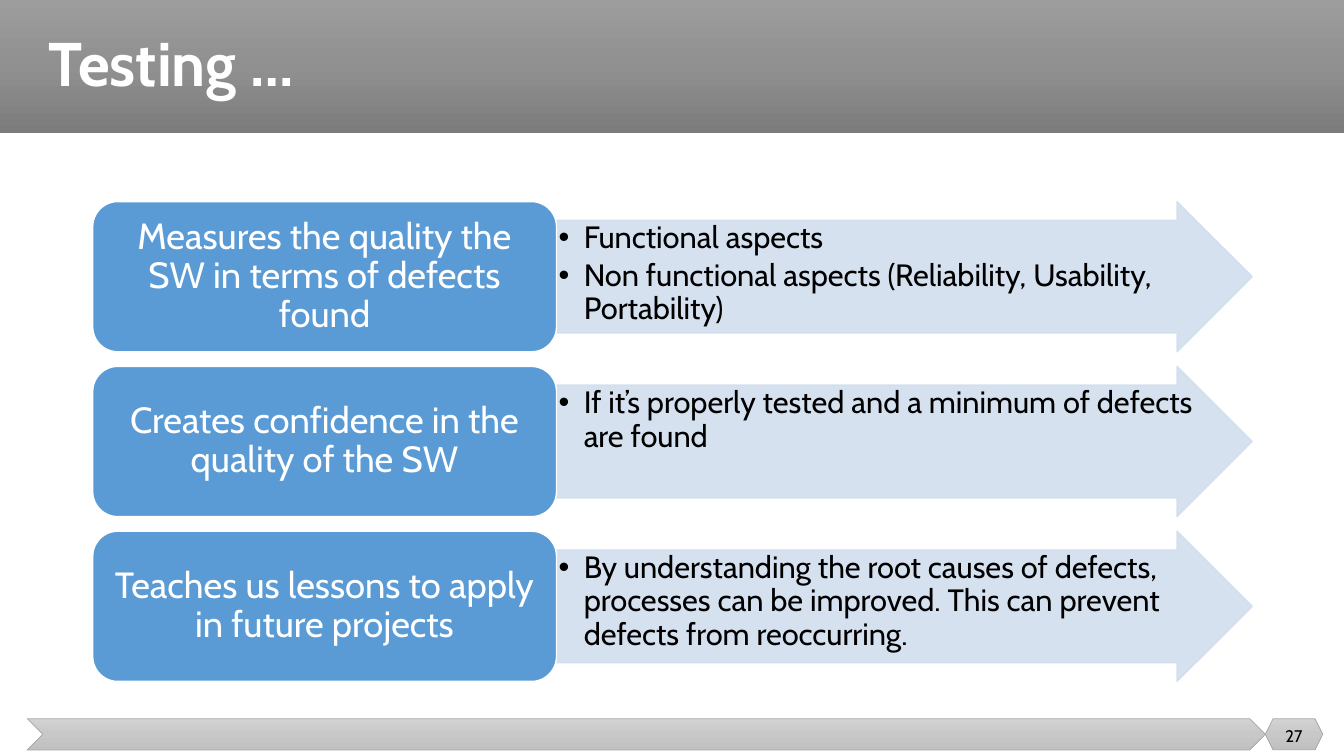
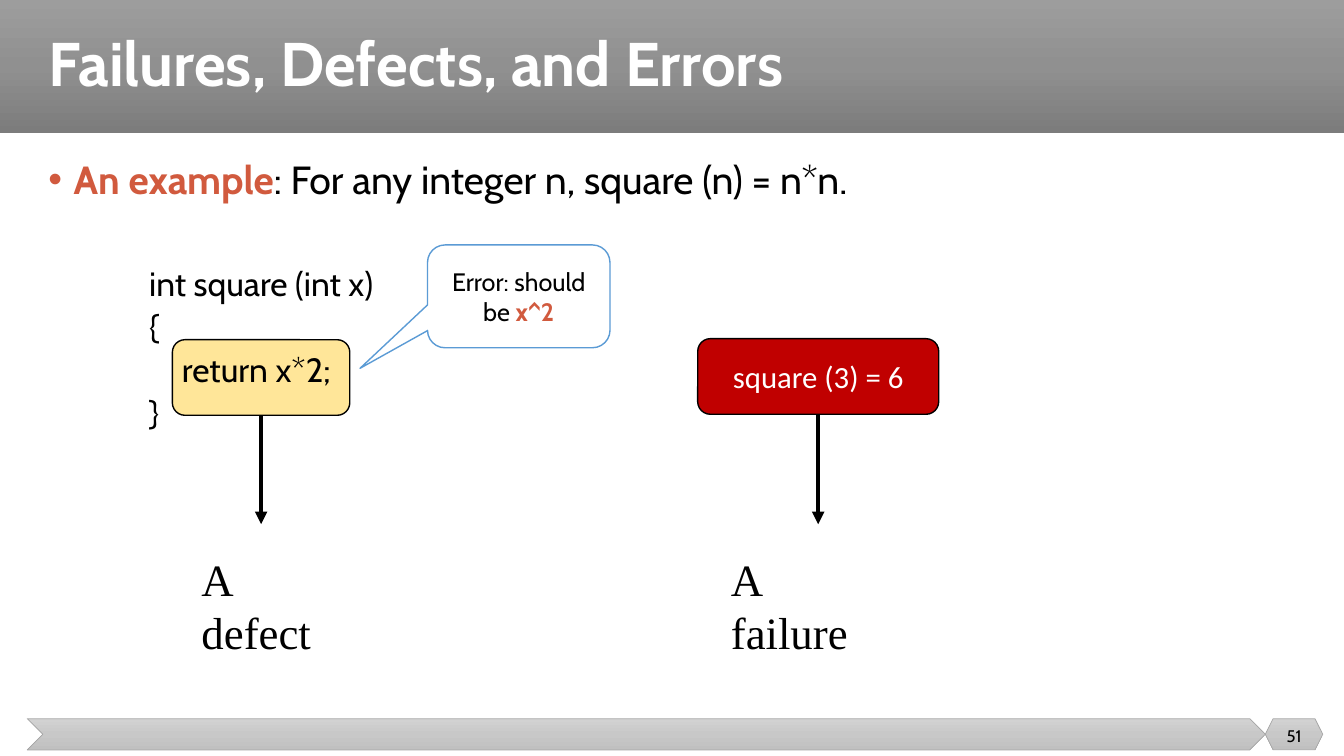
"""Build two slides on software testing and save them to out.pptx."""
from copy import deepcopy

from lxml.etree import SubElement
from pptx import Presentation
from pptx.dml.color import RGBColor
from pptx.enum.shapes import MSO_CONNECTOR, MSO_SHAPE
from pptx.enum.text import MSO_ANCHOR, MSO_AUTO_SIZE, PP_ALIGN
from pptx.oxml.ns import qn
from pptx.util import Inches, Pt

rgb = RGBColor.from_string
BLACK, WHITE, ACCENT = "000000", "FFFFFF", "D15A3E"
BLUE, PALE_BLUE, GREY_LINE = "5B9BD5", "D2DEEF", "A5A5A5"
TITLE_BAND = ("9D9D9D", "909090", "7C7C7C")
FOOTER_BAND = ("D2D2D2", "C8C8C8", "C0C0C0")


def add_box(s, kind, at, fill=None, line=None, weight=1, adj=()):
    """Add a preset shape with a plain, gradient or empty fill."""
    sp = s.shapes.add_shape(kind, *map(Inches, at))
    sp.shadow.inherit = False
    for i, value in enumerate(adj):
        sp.adjustments[i] = value
    if isinstance(fill, tuple):
        sp.fill.gradient()
        sp.fill.gradient_angle = 270
        stops = sp.element.find(".//" + qn("a:gsLst"))
        stops.insert(1, deepcopy(stops[0]))
        stops[1].set("pos", "50000")
        for stop, color in zip(sp.fill.gradient_stops, fill):
            stop.color.rgb = rgb(color)
    elif fill:
        sp.fill.solid()
        sp.fill.fore_color.rgb = rgb(fill)
    else:
        sp.fill.background()
    if line:
        sp.line.color.rgb = rgb(line)
        sp.line.width = Pt(weight)
    else:
        sp.line.fill.background()
    return sp


def write(tf, text, size, color=BLACK, bold=False, font="Cabin", align=PP_ALIGN.LEFT,
          spacing=1.0, before=0, after=0, bullet=None, left=0, join=False):
    """Add a paragraph, or with join a run to the last paragraph."""
    p = tf.paragraphs[-1]
    if not join:
        if p.runs:
            p = tf.add_paragraph()
        p.alignment = align
        p.line_spacing = spacing
        p.space_before, p.space_after = Pt(before), Pt(after)
        pPr = p._p.get_or_add_pPr()
        pPr.set("marL", str(Inches(left)))
        pPr.set("indent", str(Inches(-0.25 if left else 0)))
        if bullet:
            SubElement(pPr, qn("a:buFont")).set("typeface", "Arial")
            SubElement(pPr, qn("a:buChar")).set("char", bullet)
        else:
            SubElement(pPr, qn("a:buNone"))
    r = p.add_run()
    r.text = text
    r.font.name, r.font.size, r.font.bold = font, Pt(size), bold
    r.font.color.rgb = rgb(color)


prs = Presentation()
prs.slide_width, prs.slide_height = Inches(13.33), Inches(7.5)
testing = prs.slides.add_slide(prs.slide_layouts[5])
example = prs.slides.add_slide(prs.slide_layouts[1])

bands = [
    (MSO_SHAPE.RECTANGLE, (0, 0, 13.33, 1.32), TITLE_BAND, None),
    (MSO_SHAPE.CHEVRON, (0.27, 7.13, 12.28, 0.31), FOOTER_BAND, GREY_LINE),
    (MSO_SHAPE.HEXAGON, (12.55, 7.13, 0.57, 0.31), FOOTER_BAND, GREY_LINE),
]
for i, (kind, at, fill, line) in enumerate(bands):
    sp = add_box(testing, kind, at, fill, line, 0.5)
    prs.slide_master.shapes.element.insert(2 + i, sp.element)

for s, title, number in [(testing, "Testing …", "27"),
                         (example, "Failures, Defects, and Errors", "51")]:
    sp = s.shapes.title
    sp.left, sp.top, sp.width, sp.height = map(Inches, (0.38, 0, 12.74, 1.32))
    tf = sp.text_frame
    tf.auto_size = MSO_AUTO_SIZE.NONE
    tf.vertical_anchor = MSO_ANCHOR.MIDDLE
    write(tf, title, 44, WHITE, bold=True, spacing=0.9)
    tf = s.shapes.add_textbox(*map(Inches, (12.55, 7.1, 0.57, 0.4))).text_frame
    tf.word_wrap = True
    tf.vertical_anchor = MSO_ANCHOR.MIDDLE
    write(tf, number, 12, align=PP_ALIGN.CENTER)

benefits = [
    ("Measures the quality the SW in terms of defects found",
     ["Functional aspects",
      "Non functional aspects (Reliability, Usability, Portability)"]),
    ("Creates confidence in the quality of the SW",
     ["If it’s properly tested and a minimum of defects are found"]),
    ("Teaches us lessons to apply in future projects",
     ["By understanding the root causes of defects, processes can be improved. "
      "This can prevent defects from reoccurring."]),
]
for i, (benefit, details) in enumerate(benefits):
    top = 2 + i * 1.635
    arrow = add_box(testing, MSO_SHAPE.RIGHT_ARROW, (5.52, top, 6.9, 1.49),
                    PALE_BLUE, PALE_BLUE, adj=(0.75, 0.5))
    for clr in list(arrow.element.spPr.iter(qn("a:srgbClr"))):
        SubElement(clr, qn("a:alpha")).set("val", "90000")
    tf = arrow.text_frame
    tf.vertical_anchor = MSO_ANCHOR.TOP
    tf.margin_left = tf.margin_right = tf.margin_top = tf.margin_bottom = Inches(0.02)
    for detail in details:
        write(tf, detail, 22, spacing=0.9, after=3, bullet="•", left=0.25)
    label = add_box(testing, MSO_SHAPE.ROUNDED_RECTANGLE, (0.92, top, 4.6, 1.49), BLUE, WHITE)
    tf = label.text_frame
    tf.margin_left = tf.margin_right = Inches(0.11)
    write(tf, benefit, 26, WHITE, align=PP_ALIGN.CENTER, spacing=0.9)

body = example.placeholders[1]
body.left, body.top, body.width, body.height = map(Inches, (0.38, 1.54, 12.74, 5.19))
tf = body.text_frame
tf.auto_size = MSO_AUTO_SIZE.NONE
write(tf, "An example", 28, ACCENT, bold=True, spacing=0.9, bullet="•", left=0.25)
write(tf, ": For any integer n, square (n) = n*n.", 28, join=True)
for i, code in enumerate(["int square (int x)", "{", "\t return x*2;", "}"]):
    write(tf, code, 24, spacing=0.9, before=5 if i else 46, left=1.25)

defect = add_box(example, MSO_SHAPE.ROUNDED_RECTANGLE, (1.71, 3.37, 1.76, 0.75),
                 "FFE699", BLACK)
example.shapes.element.insert(2, defect.element)
failure = add_box(example, MSO_SHAPE.ROUNDED_RECTANGLE, (6.92, 3.36, 2.39, 0.75),
                  "C00000", BLACK)
write(failure.text_frame, "square (3) = 6", 22, WHITE, font="Calibri", align=PP_ALIGN.CENTER)

for box, caption, left, width in [(defect, "A defect", 1.9, 1.68),
                                  (failure, "A failure", 7.15, 1.71)]:
    x = box.left + box.width // 2
    cxn = example.shapes.add_connector(MSO_CONNECTOR.STRAIGHT, x, box.top + box.height,
                                       x, Inches(5.2))
    cxn.begin_connect(box, 2)
    cxn.line.color.rgb = rgb(BLACK)
    cxn.line.width = Pt(3)
    SubElement(cxn.line._get_or_add_ln(), qn("a:tailEnd")).set("type", "triangle")
    SubElement(cxn.element.spPr, qn("a:effectLst"))
    tf = example.shapes.add_textbox(*map(Inches, (left, 5.42, width, 0.64))).text_frame
    tf.word_wrap = True
    write(tf, caption, 32, font="Times New Roman")

callout = add_box(example, MSO_SHAPE.ROUNDED_RECTANGULAR_CALLOUT, (4.24, 2.43, 1.81, 1.02),
                  line=BLUE, adj=(-0.87, 0.7, 0.17))
write(callout.text_frame, "Error: should be ", 18, align=PP_ALIGN.CENTER)
write(callout.text_frame, "x^2", 18, ACCENT, bold=True, join=True)

prs.save("out.pptx")
